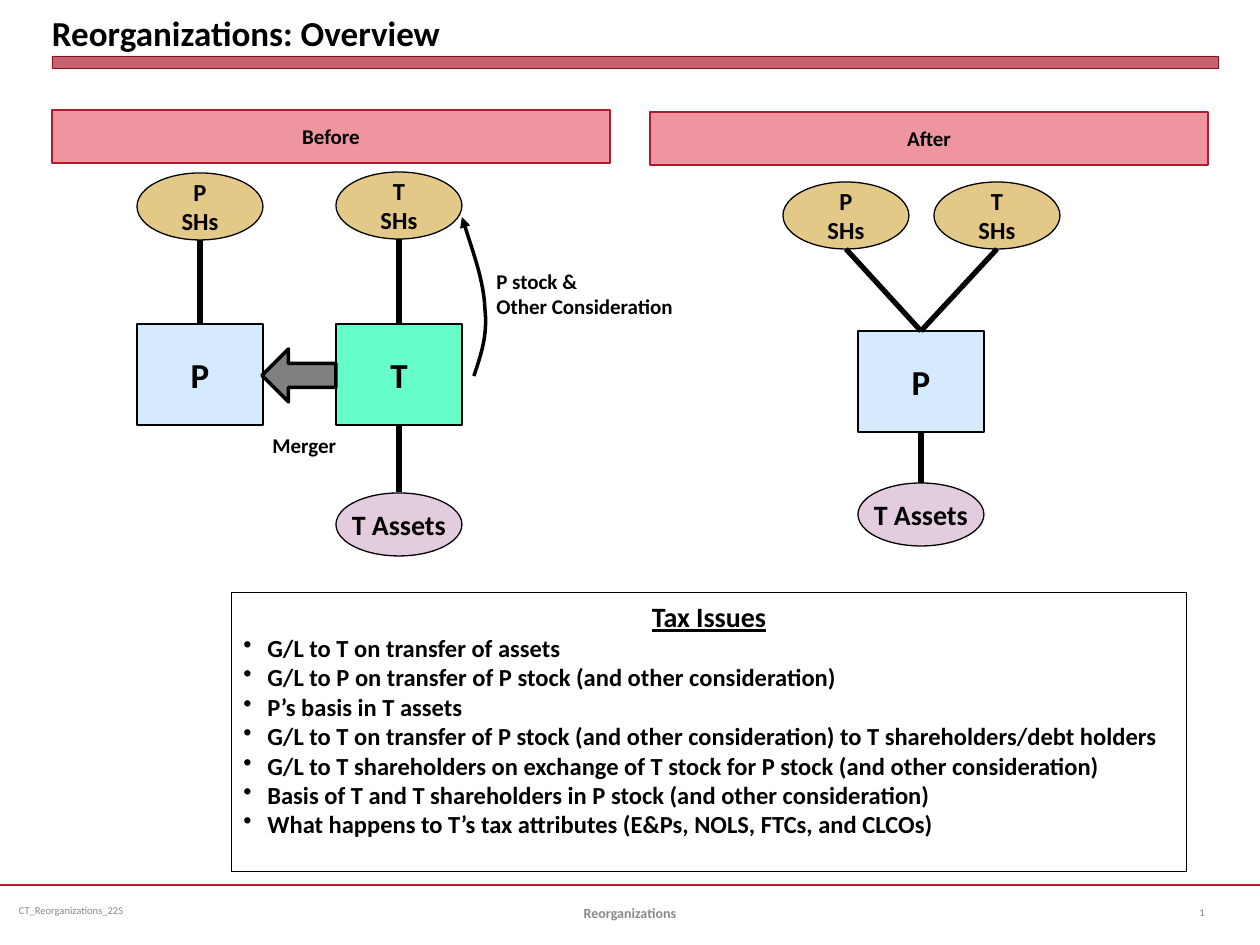
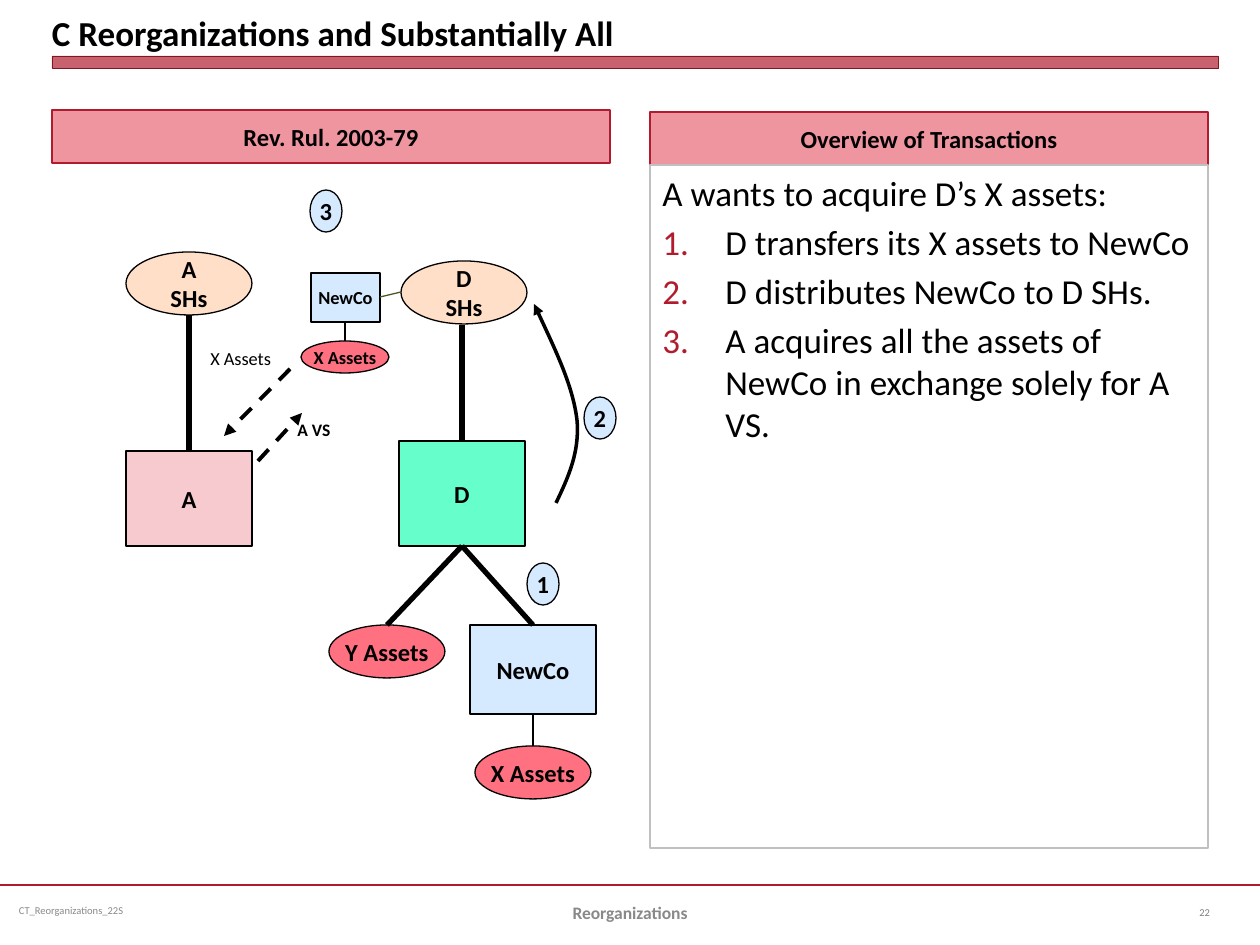
"""Build two slides on corporate reorganizations with ownership diagrams."""
from lxml import etree
from pptx import Presentation
from pptx import util as u
from pptx.dml.color import RGBColor
from pptx.enum import dml, shapes, text
from pptx.oxml import ns

SCALE = 914400 / 126
FONT = "Calibri"
BLACK = RGBColor(0x00, 0x00, 0x00)
WHITE = RGBColor(0xFF, 0xFF, 0xFF)
CRIMSON = RGBColor(0xB0, 0x1C, 0x2E)
MAROON = RGBColor(0x82, 0x15, 0x22)
ROSE = RGBColor(0xEE, 0x95, 0xA0)
BLUSH = RGBColor(0xF7, 0xCA, 0xD0)
CORAL = RGBColor(0xFF, 0x70, 0x81)
PEACH = RGBColor(0xFF, 0xDF, 0xC8)
SAND = RGBColor(0xE3, 0xC9, 0x88)
LILAC = RGBColor(0xE3, 0xCC, 0xDD)
SKY = RGBColor(0xD6, 0xEA, 0xFF)
MINT = RGBColor(0x66, 0xFF, 0xCC)
OLIVE = RGBColor(0x48, 0x5A, 0x23)
GRAY = RGBColor(0x80, 0x80, 0x80)
FOOTER_GRAY = RGBColor(0x89, 0x89, 0x89)
SILVER = RGBColor(0xC0, 0xC0, 0xC0)

RECT = shapes.MSO_SHAPE.RECTANGLE
OVAL = shapes.MSO_SHAPE.OVAL
LEFT, CENTER = text.PP_ALIGN.LEFT, text.PP_ALIGN.CENTER
TOP, MIDDLE, BOTTOM = (text.MSO_ANCHOR.TOP, text.MSO_ANCHOR.MIDDLE,
                       text.MSO_ANCHOR.BOTTOM)


def px(length):
    return u.Emu(round(length * SCALE))


def apply(target, values):
    for name, value in values.items():
        setattr(target, name, value)


def add_xml(parent, tag, **attributes):
    return etree.SubElement(parent, ns.qn(tag), attributes)


class Deck:
    """Holds the style and the slide being drawn."""

    def __init__(self):
        self.presentation = Presentation()
        apply(self.presentation, {"slide_width": px(1260), "slide_height": px(945)})
        self.slide = None

    def new_slide(self, title, number, footer_size):
        layout = self.presentation.slide_layouts[5]
        self.slide = self.presentation.slides.add_slide(layout)
        self.line((0, 885), (1260, 885), 1.25, CRIMSON)
        self.label((10, 885, 325, 50), ["CT_Reorganizations_22S"], 6,
                   color=FOOTER_GRAY, bold=False, anchor=MIDDLE, wrap=True, inset=9)
        band = self.shape(RECT, (52, 56, 1166, 12), CRIMSON, MAROON, 0.25)
        tint = band.fill._xPr.find(".//" + ns.qn("a:srgbClr"))
        add_xml(tint, "a:alpha", val="69000")
        heading = self.slide.shapes.title
        apply(heading, dict(zip(("left", "top", "width", "height"),
                                map(px, (52, 0, 1166, 54)))))
        self.put_text(heading, [title], 20, align=LEFT, anchor=BOTTOM, wrap=True, inset=0)
        self.label((1187, 887, 63, 50), [number], 6, color=GRAY, bold=False,
                   anchor=MIDDLE, wrap=True)
        self.label((430, 888, 400, 50), ["Reorganizations"], footer_size,
                   color=FOOTER_GRAY, align=CENTER, anchor=MIDDLE, wrap=True)

    def put_text(self, shape, lines, size, color=BLACK, bold=True, align=CENTER,
                 anchor=MIDDLE, wrap=False, inset=None):
        frame = shape.text_frame
        apply(frame, {"auto_size": text.MSO_AUTO_SIZE.NONE, "word_wrap": wrap,
                      "vertical_anchor": anchor})
        if inset is not None:
            apply(frame, {"margin_left": px(inset), "margin_right": px(inset),
                          "margin_top": px(inset // 2), "margin_bottom": px(inset // 2)})
        for index, line in enumerate(lines):
            paragraph = frame.add_paragraph() if index else frame.paragraphs[0]
            paragraph.alignment = align
            run = paragraph.add_run()
            run.text = line
            apply(run.font, {"name": FONT, "size": u.Pt(size), "bold": bold})
            run.font.color.rgb = color
        return frame

    def label(self, box, lines, size, align=LEFT, anchor=TOP, **style):
        holder = self.slide.shapes.add_textbox(*map(px, box))
        self.put_text(holder, lines, size, align=align, anchor=anchor, **style)

    def shape(self, kind, box, fill, line=BLACK, weight=0.75):
        item = self.slide.shapes.add_shape(kind, *map(px, box))
        item.shadow.inherit = False
        if fill is None:
            item.fill.background()
        else:
            item.fill.solid()
            item.fill.fore_color.rgb = fill
        item.line.color.rgb = line
        item.line.width = u.Pt(weight)
        return item

    def company(self, box, name, fill, size=14):
        self.put_text(self.shape(RECT, box, fill, weight=1), [name], size)

    def oval(self, box, lines, fill, size=14):
        self.put_text(self.shape(OVAL, box, fill), lines, size)

    def panel_headers(self, left, right, size):
        for x, y, caption in ((52, 110, left), (650, 112, right)):
            header = self.shape(RECT, (x, y, 558, 53), ROSE, CRIMSON)
            self.put_text(header, [caption], size, wrap=True)

    def line(self, start, end, weight=3, color=BLACK, dashed_arrow=False):
        item = self.slide.shapes.add_connector(
            shapes.MSO_CONNECTOR.STRAIGHT, *map(px, start + end))
        item.line.color.rgb = color
        item.line.width = u.Pt(weight)
        if dashed_arrow:
            item.line.dash_style = dml.MSO_LINE.DASH
            self.arrowhead(item)
        add_xml(item._element.spPr, "a:effectLst")

    def arrowhead(self, item):
        add_xml(item.line._get_or_add_ln(), "a:tailEnd", type="triangle")

    def curved_arrow(self, start, controls):
        builder = self.slide.shapes.build_freeform(*start, scale=SCALE)
        builder.add_line_segments(controls, close=False)
        item = builder.convert_to_shape()
        item.shadow.inherit = False
        item.fill.background()
        item.line.color.rgb = BLACK
        item.line.width = u.Pt(2)
        self.arrowhead(item)
        outline = item._element.find(".//" + ns.qn("a:path"))
        segments = outline.findall(ns.qn("a:lnTo"))
        for index in range(0, len(segments), 3):
            curve = add_xml(outline, "a:cubicBezTo")
            for segment in segments[index:index + 3]:
                curve.append(segment[0])
                outline.remove(segment)

    def bullet(self, paragraph, indent, tag=None, color=None, **attributes):
        properties = paragraph._p.get_or_add_pPr()
        for name, value in {"marL": px(indent), "indent": -px(indent)}.items():
            properties.set(name, str(int(value)))
        if color is not None:
            add_xml(add_xml(properties, "a:buClr"), "a:srgbClr", val=str(color))
        if tag:
            add_xml(properties, tag, **attributes)


def draw_overview(deck):
    deck.new_slide("Reorganizations: Overview", "1", 8)
    deck.panel_headers("Before", "After", 12)

    issues = deck.shape(RECT, (231, 592, 956, 280), None, weight=0.5)
    frame = deck.put_text(issues, [
        "Tax Issues",
        "G/L to T on transfer of assets",
        "G/L to P on transfer of P stock (and other consideration)",
        "P’s basis in T assets",
        "G/L to T on transfer of P stock (and other consideration) to T shareholders/debt holders",
        "G/L to T shareholders on exchange of T stock for P stock (and other consideration)",
        "Basis of T and T shareholders in P stock (and other consideration)",
        "What happens to T’s tax attributes (E&Ps, NOLS, FTCs, and CLCOs)",
    ], 14, align=LEFT, wrap=True)
    frame.margin_bottom = px(32)
    heading, *points = frame.paragraphs
    heading.alignment = CENTER
    apply(heading.runs[0].font, {"size": u.Pt(16), "underline": True})
    for point in points:
        deck.bullet(point, 24, "a:buChar", char="•")

    for x, y, owner in ((137, 173, "P"), (336, 172, "T"), (783, 182, "P"), (934, 182, "T")):
        deck.oval((x, y, 126, 67), [owner, "SHs"], SAND)
    for x, y, name, fill in ((137, 324, "P", SKY), (336, 324, "T", MINT), (858, 331, "P", SKY)):
        deck.company((x, y, 126, 101), name, fill, 20)
    for x, y in ((336, 493), (858, 483)):
        deck.oval((x, y, 126, 63), ["T Assets"], LILAC, 16)
    for start, end in (((200, 240), (200, 324)), ((399, 239), (399, 324)),
                       ((399, 425), (399, 492)), ((846, 249), (921, 331)),
                       ((997, 249), (921, 331)), ((921, 432), (921, 483))):
        deck.line(start, end)

    deck.curved_arrow((474, 376), [(481, 355), (488, 335), (485, 309),
                                   (484, 282), (472, 249), (462, 217)])
    merger = deck.shape(shapes.MSO_SHAPE.LEFT_ARROW, (262, 349, 74, 53), GRAY, weight=2)
    merger.adjustments[0] = 0.45
    deck.label((260, 426, 89, 38), ["Merger"], 12)
    deck.label((484, 262, 204, 63), ["P stock &", "Other Consideration"], 12)


def draw_substantially_all(deck):
    deck.new_slide("C Reorganizations and Substantially All", "22", 10)
    deck.panel_headers("Rev. Rul. 2003-79", "Overview of Transactions", 14)

    steps = deck.shape(RECT, (650, 165, 558, 683), WHITE, SILVER)
    frame = deck.put_text(steps, [
        "A wants to acquire D’s X assets:",
        "D transfers its X assets to NewCo",
        "D distributes NewCo to D SHs.",
        "A acquires all the assets of NewCo in exchange solely for A VS.",
    ], 20, bold=False, align=LEFT, anchor=TOP, wrap=True)
    intro, *actions = frame.paragraphs
    deck.bullet(intro, 63)
    for action in actions:
        deck.bullet(action, 63, "a:buAutoNum", CRIMSON, type="arabicPeriod")
        action.space_before = u.Pt(4)

    for box, name, fill, size in (((399, 441, 126, 105), "D", MINT, 14),
                                  ((126, 451, 126, 95), "A", BLUSH, 14),
                                  ((470, 625, 126, 89), "NewCo", SKY, 14),
                                  ((311, 273, 69, 49), "NewCo", SKY, 10.5)):
        deck.company(box, name, fill, size)
    for x, y, owner in ((126, 252, "A"), (401, 261, "D")):
        deck.oval((x, y, 126, 63), [owner, "SHs"], PEACH)
    for x, y, assets in ((475, 746, "X Assets"), (329, 625, "Y Assets")):
        deck.oval((x, y, 116, 53), [assets], CORAL)
    deck.oval((301, 341, 88, 32), ["X Assets"], CORAL, 10.5)
    for x, y, step in ((527, 563, "1"), (584, 397, "2"), (310, 190, "3")):
        deck.oval((x, y, 32, 42), [step], SKY)

    for start, end in (((189, 315), (189, 451)), ((462, 325), (462, 441)),
                       ((462, 546), (387, 625)), ((462, 546), (533, 625))):
        deck.line(start, end)
    for start, end, color in (((533, 714), (533, 746), BLACK),
                              ((345, 322), (345, 341), BLACK),
                              ((380, 297), (401, 292), OLIVE)):
        deck.line(start, end, 0.75, color)
    for start, end in (((258, 461), (302, 413)), ((290, 369), (224, 436))):
        deck.line(start, end, 2.25, dashed_arrow=True)
    deck.curved_arrow((556, 503), [(568, 478), (580, 452), (577, 420),
                                   (573, 386), (553, 345), (534, 304)])
    deck.label((198, 341, 87, 35), ["X Assets"], 10.5, bold=False)
    deck.label((285, 413, 59, 34), ["A VS"], 10)


def main():
    deck = Deck()
    draw_overview(deck)
    draw_substantially_all(deck)
    deck.presentation.save("out.pptx")


if __name__ == "__main__":
    main()
